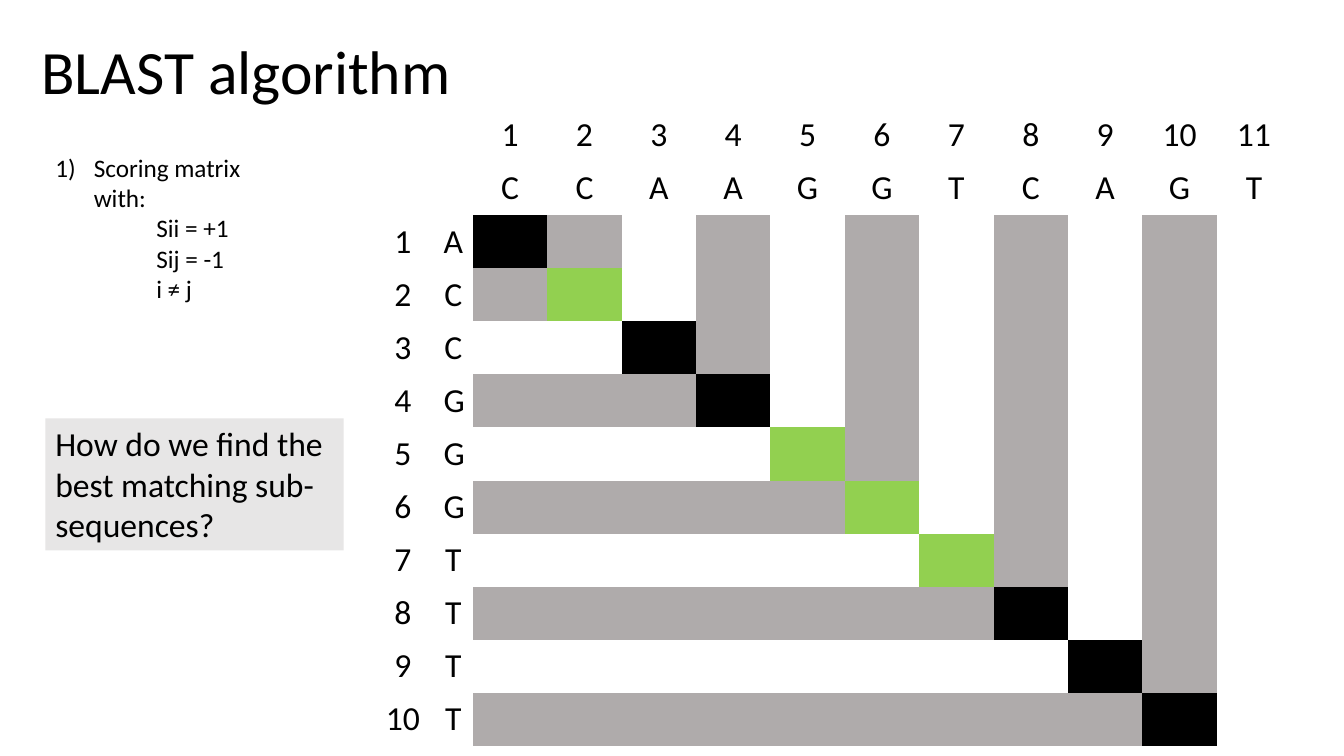
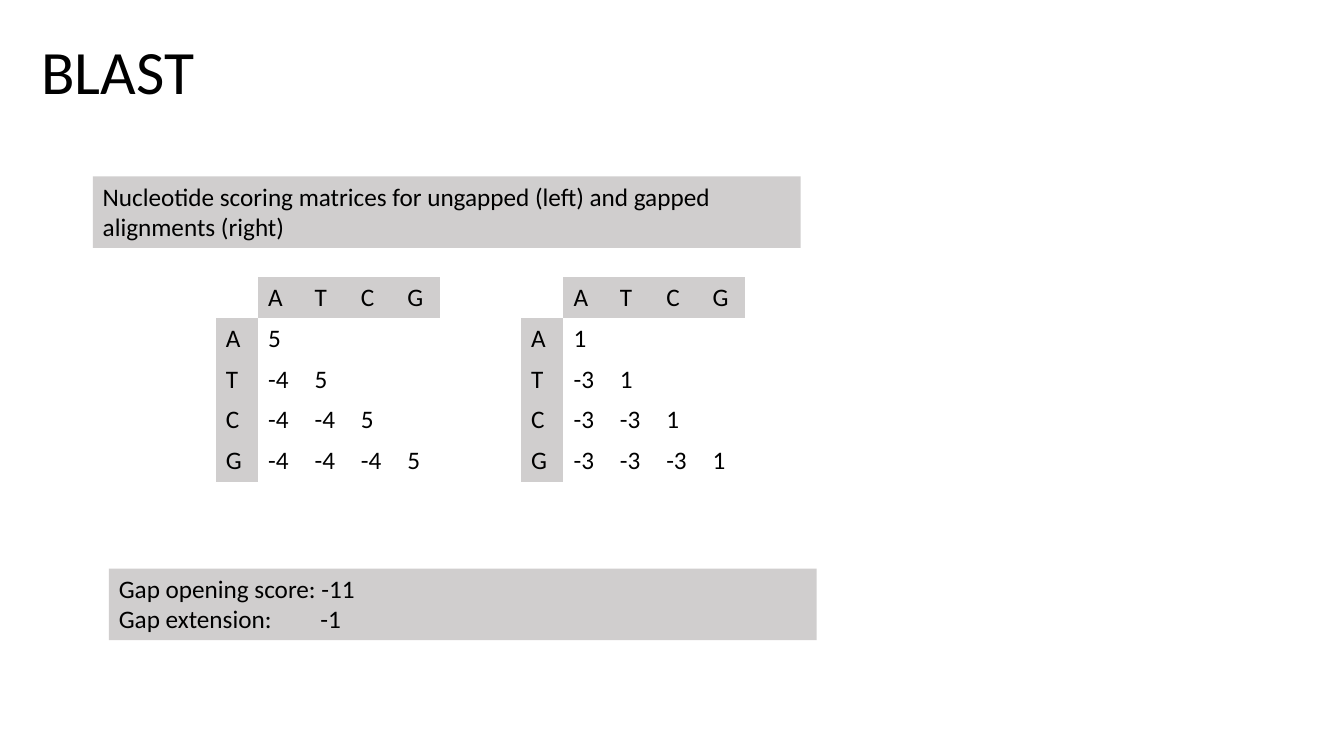
"""Build two slides on BLAST: the alignment grid and the nucleotide scoring matrices."""
from lxml import etree
from pptx import Presentation
from pptx.dml.color import RGBColor
from pptx.enum.shapes import MSO_SHAPE
from pptx.enum.text import MSO_ANCHOR, MSO_AUTO_SIZE, PP_ALIGN
from pptx.oxml.ns import qn
from pptx.util import Inches, Pt

RECTANGLE = MSO_SHAPE.RECTANGLE
TOP, MIDDLE = MSO_ANCHOR.TOP, MSO_ANCHOR.MIDDLE
LEFT, CENTER = PP_ALIGN.LEFT, PP_ALIGN.CENTER
NO_AUTOFIT = MSO_AUTO_SIZE.NONE
TITLE_AND_BODY, TITLE_ONLY = 1, 5
PLAIN_TABLE_STYLE = "{2D5ABB26-0587-4C30-8999-92F81FD0307C}"

FONT = "Calibri"
BLACK, WHITE, GREEN = "000000", "FFFFFF", "92D050"
STRIPE_GRAY, PANEL_GRAY, PALE_GRAY = "AFABAB", "D0CECE", "E7E6E6"

ALIGNMENT_TITLE = "BLAST algorithm"
QUERY = "CCAAGGTCAGT"
SUBJECT = "ACCGGGTTTT"
MATCHES = {2, 5, 6, 7}
SCORING_STEP = "Scoring matrix with:"
SCORING_RULES = ["Sii = +1", "Sij = -1", "i ≠ j"]
QUESTION = "How do we find the best matching sub-sequences?"

SCORES_TITLE = "BLAST"
BASES = "ATCG"
UNGAPPED = {"match": "5", "mismatch": "-4"}
GAPPED = {"match": "1", "mismatch": "-3"}
MATRICES_CAPTION = "Nucleotide scoring matrices for ungapped (left) and gapped alignments (right)"
GAP_SCORES = ["Gap opening score: -11", "Gap extension:\t-1"]


def color(hex_value):
    return RGBColor.from_string(hex_value)


def write(paragraph, text, size, align=LEFT):
    paragraph.alignment = align
    run = paragraph.add_run()
    run.text = text
    run.font.name = FONT
    run.font.size = Pt(size)
    run.font.color.rgb = color(BLACK)


def write_lines(frame, lines, size):
    for index, line in enumerate(lines):
        paragraph = frame.add_paragraph() if index else frame.paragraphs[0]
        write(paragraph, line, size)


def place(shape, left, top, width, height):
    shape.left, shape.top = Inches(left), Inches(top)
    shape.width, shape.height = Inches(width), Inches(height)


def add_titled_slide(deck, layout, text):
    slide = deck.slides.add_slide(deck.slide_layouts[layout])
    title = slide.shapes.title
    place(title, 0.31, 0.01, 11.5, 1.45)
    title.text_frame.auto_size = NO_AUTOFIT
    title.text_frame.vertical_anchor = MIDDLE
    title.text_frame.paragraphs[0].line_spacing = 0.9
    write(title.text_frame.paragraphs[0], text, 44)
    return slide


def add_panel(slide, box, fill, lines, size):
    panel = slide.shapes.add_shape(RECTANGLE, *map(Inches, box))
    panel.shadow.inherit = False
    panel.fill.solid()
    panel.fill.fore_color.rgb = color(fill)
    panel.line.fill.background()
    panel.text_frame.word_wrap = True
    panel.text_frame.vertical_anchor = TOP
    write_lines(panel.text_frame, lines, size)


def add_grid(slide, left, top, widths, row_height, rows, size, align, anchor):
    frame = slide.shapes.add_table(
        len(rows), len(widths), Inches(left), Inches(top),
        Inches(sum(widths)), Inches(row_height * len(rows)))
    table = frame.table
    table.first_row = table.horz_banding = False
    table._tbl.tblPr.find(qn("a:tableStyleId")).text = PLAIN_TABLE_STYLE
    for column, width in zip(table.columns, widths):
        column.width = Inches(width)
    for r, row in enumerate(rows):
        table.rows[r].height = Inches(row_height)
        for c, (text, fill) in enumerate(row):
            cell = table.cell(r, c)
            cell.vertical_anchor = anchor
            if fill:
                cell.fill.solid()
                cell.fill.fore_color.rgb = color(fill)
            else:
                cell.fill.background()
            if text:
                write(cell.text_frame.paragraphs[0], text, size, align)


def alignment_fill(row, column):
    if column > len(SUBJECT):
        return None
    if row == column:
        return GREEN if row in MATCHES else BLACK
    return WHITE if max(row, column) % 2 else STRIPE_GRAY


def alignment_rows():
    blank = [("", None)] * 2
    positions = range(1, len(QUERY) + 1)
    rows = [blank + [(str(p), None) for p in positions],
            blank + [(base, None) for base in QUERY]]
    for number, base in enumerate(SUBJECT, 1):
        rows.append([(str(number), None), (base, None)]
                    + [("", alignment_fill(number, p)) for p in positions])
    return rows


def matrix_rows(scores):
    rows = [[("", None)] + [(base, PANEL_GRAY) for base in BASES]]
    for r, base in enumerate(BASES):
        values = [scores["mismatch"]] * r + [scores["match"]]
        values += [""] * (len(BASES) - len(values))
        rows.append([(base, PANEL_GRAY)] + [(value, None) for value in values])
    return rows


def add_scoring_list(slide):
    body = slide.placeholders[1]
    place(body, 0.45, 1.46, 2.52, 1.62)
    body.text_frame.auto_size = NO_AUTOFIT
    write_lines(body.text_frame, [SCORING_STEP] + SCORING_RULES, 18)
    for index, paragraph in enumerate(body.text_frame.paragraphs):
        paragraph.space_before = Pt(0)
        margin, indent = (1, 0) if index else (0.38, -0.38)
        properties = paragraph._p.get_or_add_pPr()
        properties.set("marL", str(Inches(margin)))
        properties.set("indent", str(Inches(indent)))
        if index:
            etree.SubElement(properties, qn("a:buNone"))
        else:
            etree.SubElement(properties, qn("a:buFont"), typeface="+mj-lt")
            etree.SubElement(properties, qn("a:buAutoNum"), type="arabicParenR")


def build_alignment(deck):
    slide = add_titled_slide(deck, TITLE_AND_BODY, ALIGNMENT_TITLE)
    widths = [0.61, 0.39] + [0.738] * len(QUERY)
    add_grid(slide, 3.69, 1.08, widths, 0.527, alignment_rows(), 24, CENTER, MIDDLE)
    add_scoring_list(slide)
    add_panel(slide, (0.45, 4.15, 2.96, 1.31), PALE_GRAY, [QUESTION], 24)


def build_scores(deck):
    slide = add_titled_slide(deck, TITLE_ONLY, SCORES_TITLE)
    matrix_widths = [0.42, 0.46, 0.46, 0.46, 0.42]
    rows = [left + [("", None)] + right
            for left, right in zip(matrix_rows(UNGAPPED), matrix_rows(GAPPED))]
    widths = matrix_widths + [0.81] + matrix_widths
    add_grid(slide, 2.14, 2.75, widths, 0.406, rows, 18, LEFT, TOP)
    add_panel(slide, (0.92, 1.75, 7.02, 0.71), PANEL_GRAY, [MATRICES_CAPTION], 18)
    add_panel(slide, (1.08, 5.64, 7.02, 0.71), PANEL_GRAY, GAP_SCORES, 18)


deck = Presentation()
deck.slide_width, deck.slide_height = Inches(13.33), Inches(7.5)
build_alignment(deck)
build_scores(deck)
deck.save("out.pptx")
